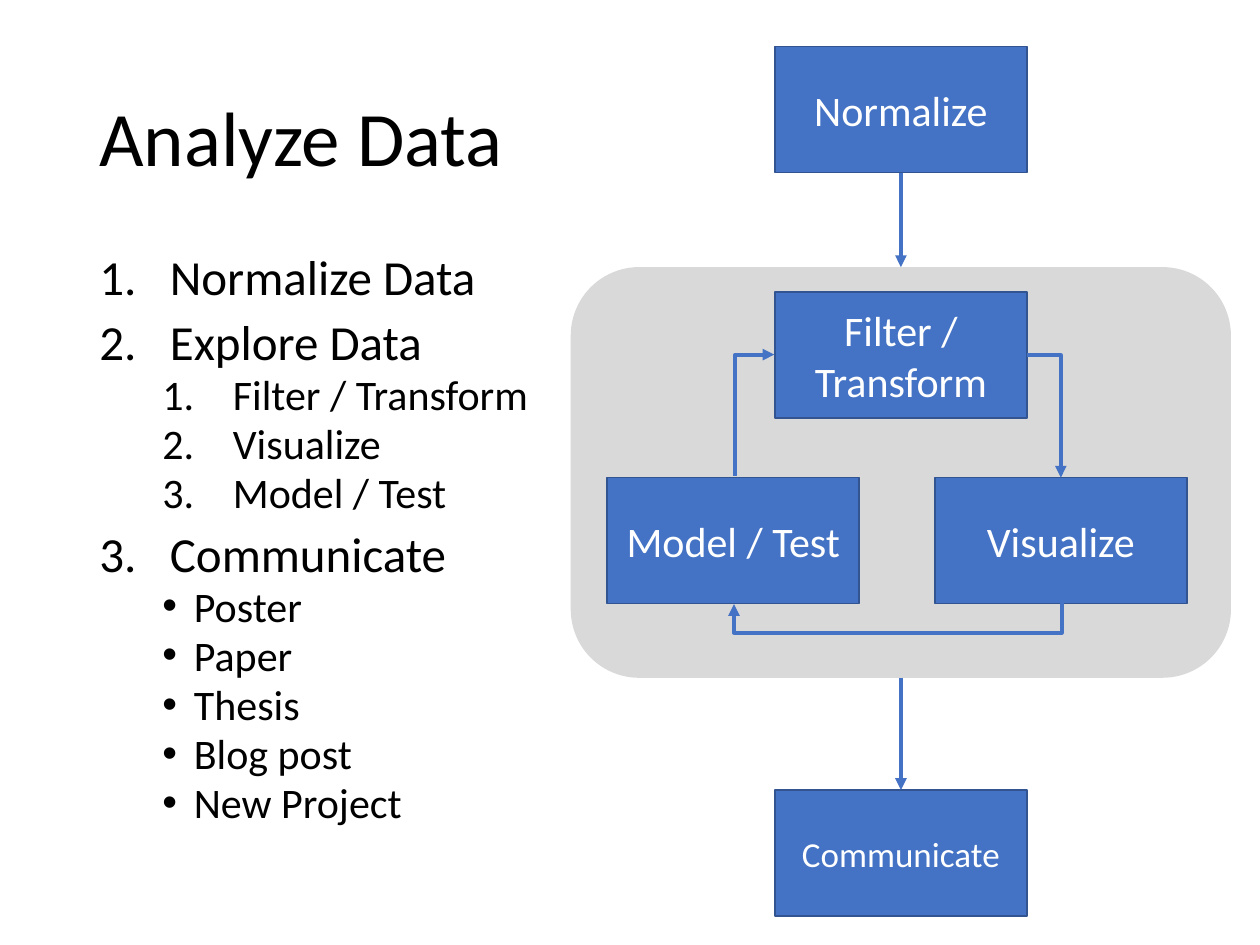
"""Build the Analyze Data slide: a numbered outline beside a process diagram."""
from dataclasses import dataclass

from lxml.etree import SubElement
from pptx import Presentation
from pptx.dml.color import RGBColor
from pptx.enum.shapes import MSO_CONNECTOR, MSO_SHAPE
from pptx.enum.text import MSO_ANCHOR, PP_ALIGN
from pptx.oxml.ns import qn
from pptx.util import Inches, Pt


@dataclass(frozen=True)
class Theme:
    font: str = "Calibri"
    text: RGBColor = RGBColor.from_string("000000")
    label: RGBColor = RGBColor.from_string("FFFFFF")
    box: RGBColor = RGBColor.from_string("4472C4")
    outline: RGBColor = RGBColor.from_string("325491")
    panel: RGBColor = RGBColor.from_string("D9D9D9")
    title_size: int = 44
    item_size: int = 28
    detail_size: int = 24
    small_size: int = 20


theme = Theme()


def add_text(paragraph, text, size, color):
    run = paragraph.add_run()
    run.text = text
    run.font.name = theme.font
    run.font.size = Pt(size)
    run.font.color.rgb = color


def add_arrow(kind, start, start_site, end, end_site):
    connector = slide.shapes.add_connector(kind, 0, 0, 0, 0)
    connector.begin_connect(start, start_site)
    connector.end_connect(end, end_site)
    connector.line.color.rgb = theme.box
    connector.line.width = Pt(2.25)
    SubElement(connector.line._get_or_add_ln(), qn("a:tailEnd"), type="triangle")
    SubElement(connector._element.spPr, qn("a:effectLst"))
    return connector


presentation = Presentation()
presentation.slide_width = Inches(10)
presentation.slide_height = Inches(7.5)
slide = presentation.slides.add_slide(presentation.slide_layouts[6])

panel = slide.shapes.add_shape(
    MSO_SHAPE.ROUNDED_RECTANGLE, Inches(4.53), Inches(2.12), Inches(5.24), Inches(3.26)
)
panel.shadow.inherit = False
panel.fill.solid()
panel.fill.fore_color.rgb = theme.panel
panel.line.fill.background()

title = slide.shapes.add_textbox(Inches(0.69), Inches(0.4), Inches(8.62), Inches(1.45))
title.text_frame.word_wrap = True
title.text_frame.vertical_anchor = MSO_ANCHOR.MIDDLE
title.text_frame.paragraphs[0].line_spacing = 0.9
add_text(title.text_frame.paragraphs[0], "Analyze Data", theme.title_size, theme.text)

ITEM, STEP, BULLET = "item", "step", "bullet"
list_styles = {
    ITEM: (0, 0.56, 0.56, theme.item_size, 10),
    STEP: (1, 1.06, 0.56, theme.detail_size, 5),
    BULLET: (1, 0.75, 0.25, theme.detail_size, 5),
}
outline = [
    (ITEM, "Normalize Data"),
    (ITEM, "Explore Data"),
    (STEP, "Filter / Transform"),
    (STEP, "Visualize"),
    (STEP, "Model / Test"),
    (ITEM, "Communicate"),
    (BULLET, "Poster"),
    (BULLET, "Paper"),
    (BULLET, "Thesis"),
    (BULLET, "Blog post"),
    (BULLET, "New Project"),
]
body = slide.shapes.add_textbox(Inches(0.69), Inches(2), Inches(4.25), Inches(4.76))
body.text_frame.word_wrap = True
for index, (style, text) in enumerate(outline):
    level, margin, hanging, size, space = list_styles[style]
    paragraph = body.text_frame.add_paragraph() if index else body.text_frame.paragraphs[0]
    paragraph.level = level
    paragraph.line_spacing = 0.8
    paragraph.space_before = Pt(space if index else 0)
    properties = paragraph._p.get_or_add_pPr()
    properties.set("marL", str(Inches(margin)))
    properties.set("indent", str(-Inches(hanging)))
    if style == BULLET:
        SubElement(properties, qn("a:buFont"), typeface="Arial")
        SubElement(properties, qn("a:buChar"), char="•")
    else:
        SubElement(properties, qn("a:buFont"), typeface="+mj-lt")
        SubElement(properties, qn("a:buAutoNum"), type="arabicPeriod")
    add_text(paragraph, text, size, theme.text)

boxes = {}
for name, left, top, size in [
    ("Normalize", 6.15, 0.37, theme.detail_size),
    ("Filter / Transform", 6.15, 2.32, theme.detail_size),
    ("Visualize", 7.42, 3.79, theme.detail_size),
    ("Model / Test", 4.82, 3.79, theme.detail_size),
    ("Communicate", 6.15, 6.27, theme.small_size),
]:
    box = slide.shapes.add_shape(
        MSO_SHAPE.RECTANGLE, Inches(left), Inches(top), Inches(2), Inches(1)
    )
    box.shadow.inherit = False
    box.fill.solid()
    box.fill.fore_color.rgb = theme.box
    box.line.color.rgb = theme.outline
    box.line.width = Pt(1)
    box.text_frame.word_wrap = True
    box.text_frame.vertical_anchor = MSO_ANCHOR.MIDDLE
    box.text_frame.paragraphs[0].alignment = PP_ALIGN.CENTER
    add_text(box.text_frame.paragraphs[0], name, size, theme.label)
    boxes[name] = box

TOP, LEFT, BOTTOM, RIGHT = range(4)
add_arrow(MSO_CONNECTOR.STRAIGHT, boxes["Normalize"], BOTTOM, panel, TOP)
add_arrow(MSO_CONNECTOR.STRAIGHT, panel, BOTTOM, boxes["Communicate"], TOP)

quarter_turn = {"rot": "5400000"}
flipped_turn = {"rot": "5400000", "flipH": "1", "flipV": "1"}
for start, start_site, end, end_site, preset, frame, turn, bend in [
    ("Filter / Transform", RIGHT, "Visualize", TOP,
     "bentConnector2", (8.15, 2.82, 0.27, 0.97), {}, None),
    ("Visualize", BOTTOM, "Model / Test", BOTTOM,
     "bentConnector3", (7.12, 3.49, 0.01, 2.6), quarter_turn, 2400000),
    ("Model / Test", TOP, "Filter / Transform", LEFT,
     "bentConnector2", (5.51, 3.14, 0.96, 0.31), flipped_turn, None),
]:
    arrow = add_arrow(MSO_CONNECTOR.ELBOW, boxes[start], start_site, boxes[end], end_site)
    arrow.left, arrow.top, arrow.width, arrow.height = map(Inches, frame)
    transform = arrow._element.spPr.find(qn("a:xfrm"))
    for flip in ("flipH", "flipV"):
        transform.attrib.pop(flip, None)
    transform.attrib.update(turn)
    geometry = arrow._element.spPr.find(qn("a:prstGeom"))
    geometry.set("prst", preset)
    if bend:
        adjustments = geometry.find(qn("a:avLst"))
        SubElement(adjustments, qn("a:gd"), name="adj1", fmla=f"val {bend}")

presentation.save("out.pptx")
